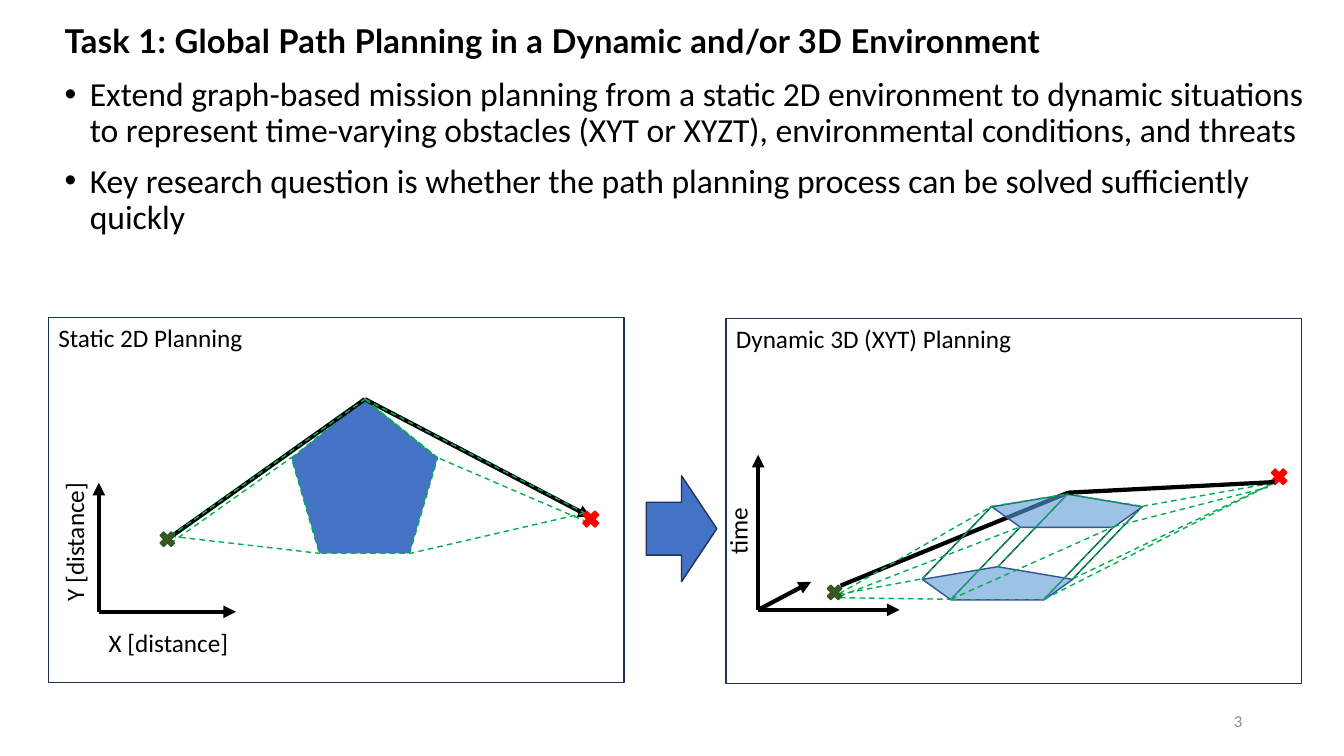
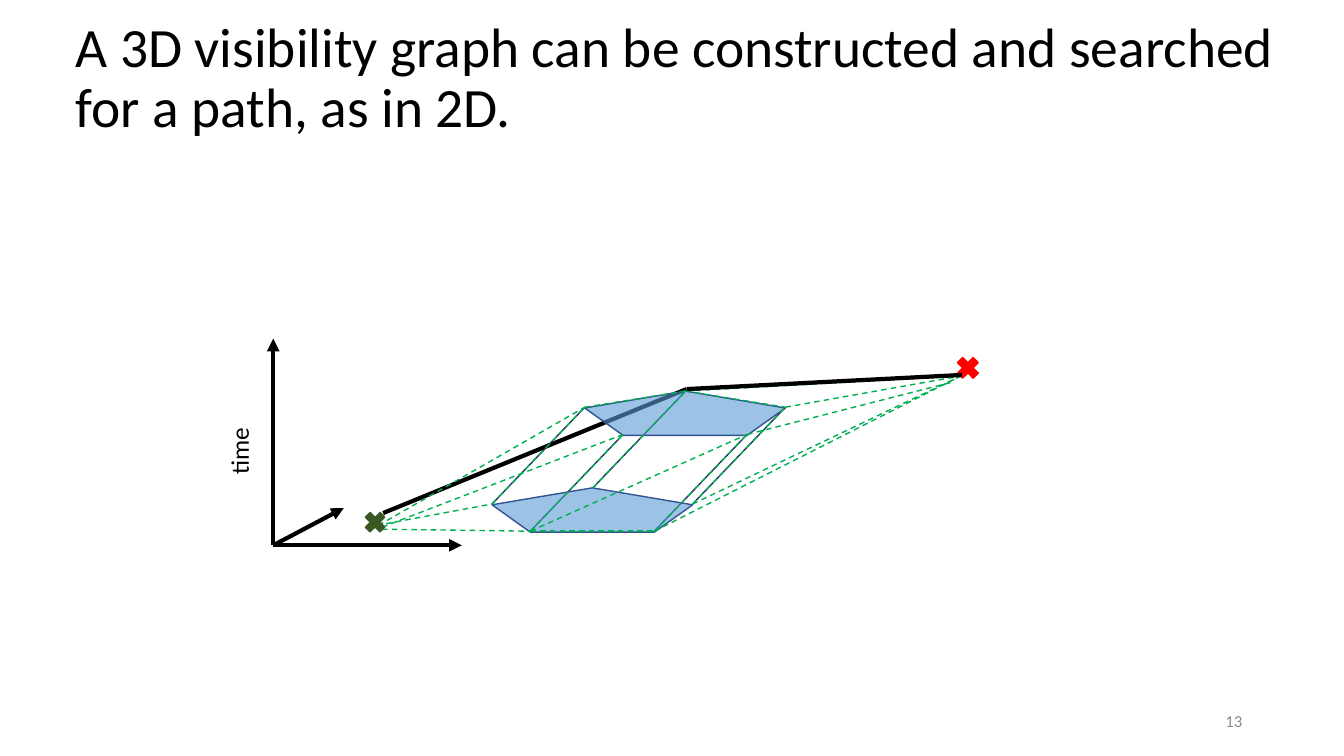
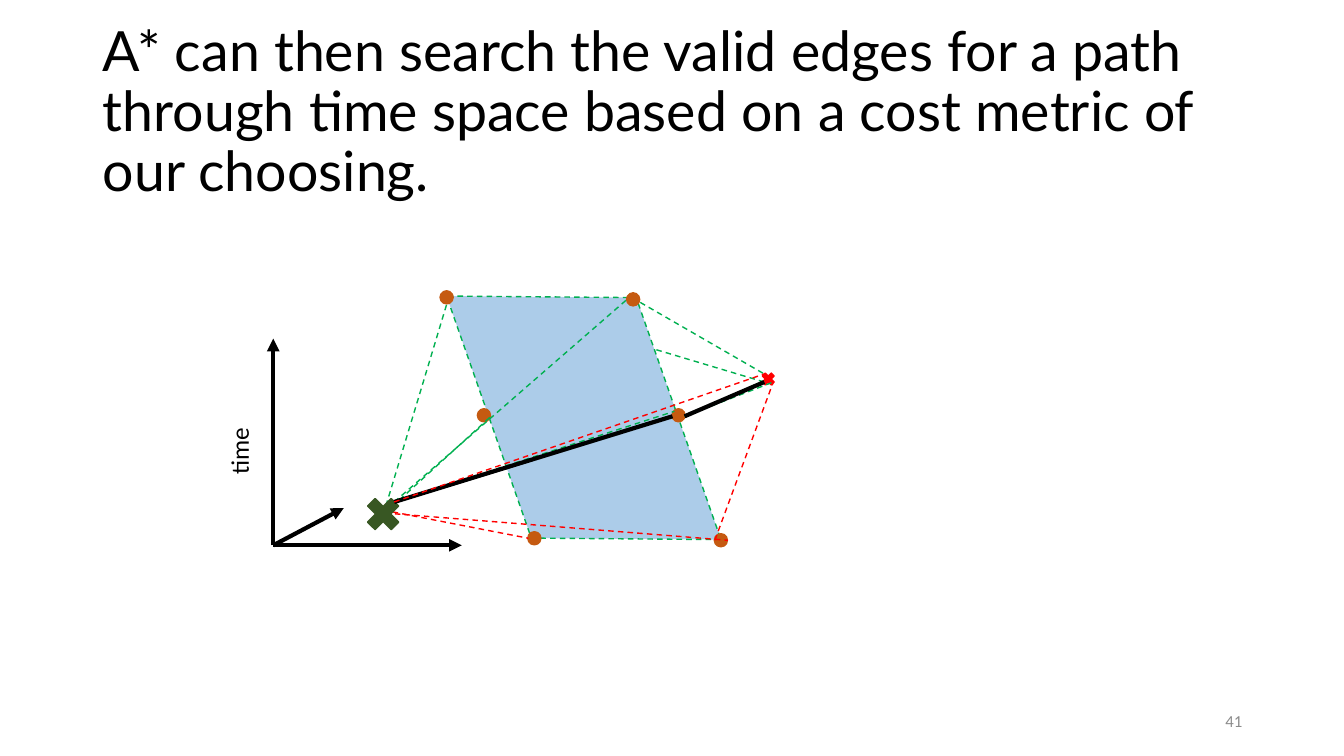
from dataclasses import dataclass
from typing import Any

from lxml import etree
from pptx import Presentation
from pptx.dml.color import RGBColor
from pptx.enum.dml import MSO_LINE
from pptx.enum.shapes import MSO_CONNECTOR, MSO_SHAPE
from pptx.enum.text import MSO_ANCHOR, MSO_AUTO_SIZE, PP_ALIGN
from pptx.oxml.ns import qn
from pptx.util import Inches, Pt

BLACK = RGBColor(0x00, 0x00, 0x00)
GRAY = RGBColor(0x8C, 0x8C, 0x8C)
GREEN = RGBColor(0x00, 0xB0, 0x50)
RED = RGBColor(0xFF, 0x00, 0x00)
MOSS = RGBColor(0x38, 0x57, 0x23)
BLUE = RGBColor(0x44, 0x72, 0xC4)
SKY = RGBColor(0x5B, 0x9B, 0xD5)
STEEL = RGBColor(0x32, 0x54, 0x91)
NAVY = RGBColor(0x20, 0x38, 0x64)
FRAME = RGBColor(0x1E, 0x32, 0x56)
RUST = RGBColor(0xC5, 0x5A, 0x11)

SANS, HEAD = "Calibri", "Lato"
STRAIGHT = MSO_CONNECTOR.STRAIGHT
DASH = MSO_LINE.DASH
CROSS = MSO_SHAPE.MATH_MULTIPLY
PENTAGON = MSO_SHAPE.REGULAR_PENTAGON
DATA = MSO_SHAPE.FLOWCHART_DATA
OVAL = MSO_SHAPE.OVAL
RECT = MSO_SHAPE.RECTANGLE
ARROW = MSO_SHAPE.RIGHT_ARROW
TOP, MIDDLE, BOTTOM = MSO_ANCHOR.TOP, MSO_ANCHOR.MIDDLE, MSO_ANCHOR.BOTTOM
LEFT, RIGHT = PP_ALIGN.LEFT, PP_ALIGN.RIGHT
FIXED, GROW = MSO_AUTO_SIZE.NONE, MSO_AUTO_SIZE.SHAPE_TO_FIT_TEXT

TITLE_BODY, TITLE_ONLY = 1, 5
AXES_AT = (2.71, 5.41)


def style(par, size, color=BLACK, font=SANS, bold=False, align=LEFT):
    par.alignment = align
    for run in par.runs:
        run.font.size = Pt(size)
        run.font.name = font
        run.font.bold = bold
        run.font.color.rgb = color


def move(shape, left, top, width, height):
    shape.left, shape.top = Inches(left), Inches(top)
    shape.width, shape.height = Inches(width), Inches(height)


@dataclass
class Plot:
    """Draws in inches from an origin on the slide, times a scale."""
    slide: Any
    left: float
    top: float
    scale: float = 1

    def spot(self, point):
        x, y = point
        return (Inches(self.left + x * self.scale),
                Inches(self.top + y * self.scale))

    def size(self, *sides):
        return [Inches(side * self.scale) for side in sides]

    def line(self, start, end, color=BLACK, width=3, dash=None, arrow=False):
        line = self.slide.shapes.add_connector(
            STRAIGHT, *self.spot(start), *self.spot(end))
        line.line.color.rgb = color
        line.line.width = Pt(width)
        if dash:
            line.line.dash_style = dash
        props = line._element.spPr
        if arrow:
            etree.SubElement(props.find(qn("a:ln")), qn("a:tailEnd"),
                             type="triangle")
        etree.SubElement(props, qn("a:effectLst"))

    def edges(self, pairs, color=GREEN, dash=DASH):
        for start, end in pairs:
            self.line(start, end, color, 1, dash)

    def axes(self, origin, ends):
        for end in ends:
            self.line(origin, end, arrow=True)

    def shape(self, kind, point, width, height, fill=None, edge=None,
              alpha=None, dash=None):
        shape = self.slide.shapes.add_shape(
            kind, *self.spot(point), *self.size(width, height))
        shape.shadow.inherit = False
        if fill is None:
            shape.fill.background()
        else:
            shape.fill.solid()
            shape.fill.fore_color.rgb = fill
        if alpha:
            color = shape._element.spPr.find(qn("a:solidFill"))[0]
            etree.SubElement(color, qn("a:alpha"), val=str(alpha * 1000))
        shape.line.color.rgb = edge or fill
        shape.line.width = Pt(1)
        if dash:
            shape.line.dash_style = dash
        return shape

    def mark(self, center, side, color, kind=CROSS):
        x, y = center
        self.shape(kind, (x - side / 2, y - side / 2), side, side, color)

    def label(self, text, point, width, height, turn=0):
        box = self.slide.shapes.add_textbox(
            *self.spot(point), *self.size(width, height))
        box.rotation = turn
        frame = box.text_frame
        frame.word_wrap = True
        frame.auto_size = GROW
        frame.text = text
        style(frame.paragraphs[0], 18)


def new_slide(deck, layout, number, title, box, size, font=SANS,
              bold=False, anchor=MIDDLE):
    """Add a slide with its title and page number."""
    slide = deck.slides.add_slide(deck.slide_layouts[layout])
    head = slide.shapes.title
    move(head, *box)
    frame = head.text_frame
    frame.text = title
    frame.auto_size = FIXED
    frame.vertical_anchor = anchor
    par = frame.paragraphs[0]
    par.line_spacing = 0.9
    style(par, size, font=font, bold=bold)

    page = slide.shapes.add_textbox(Inches(9.42), Inches(6.95),
                                    Inches(3), Inches(0.4)).text_frame
    page.word_wrap = True
    page.vertical_anchor = MIDDLE
    page.text = str(number)
    style(page.paragraphs[0], 12, GRAY, align=RIGHT)
    return slide


def bullets(body, box, lines):
    move(body, *box)
    frame = body.text_frame
    frame.text = "\n".join(lines)
    frame.auto_size = FIXED
    frame.vertical_anchor = TOP
    for i, par in enumerate(frame.paragraphs):
        par.line_spacing = 0.9
        par.space_before = Pt(10 if i else 0)
        props = par._p.get_or_add_pPr()
        props.set("marL", str(Inches(0.25)))
        props.set("indent", str(Inches(-0.25)))
        etree.SubElement(props, qn("a:buFont"), typeface="Arial")
        etree.SubElement(props, qn("a:buChar"), char="•")
        style(par, 24)


def panel(slide, left, top, caption):
    """Framed box with a caption; returns the plot inside it."""
    plot = Plot(slide, left, top)
    frame = plot.shape(RECT, (0, 0), 5.71, 3.62, edge=FRAME).text_frame
    frame.vertical_anchor = TOP
    frame.text = caption
    style(frame.paragraphs[0], 18)
    return plot


def flat_graph(plot):
    peak, west, east = (3.14, 0.81), (2.41, 1.39), (3.86, 1.39)
    start, goal = (1.21, 2.17), (5.32, 1.94)
    plot.shape(PENTAGON, (2.41, 0.81), 1.45, 1.53, BLUE, GREEN, dash=DASH)
    plot.line((1.18, 2.2), peak)
    plot.line(peak, (5.38, 1.98), arrow=True)
    plot.edges([(start, peak), (peak, goal), ((1.21, 2.24), west),
                (start, (2.69, 2.34)), (goal, (3.59, 2.34)),
                ((5.44, 2.07), east), (east, peak)])
    plot.mark((5.38, 2), 0.23, RED)
    plot.mark((1.18, 2.2), 0.21, MOSS)
    plot.axes((0.5, 2.92), [(0.5, 1.64), (1.86, 2.92)])
    plot.label("X [distance]", (0.5, 3.02), 2.19, 0.4)
    plot.label("Y [distance]", (-0.8, 1.66), 2.11, 0.4, 270)


def time_axes(plot):
    plot.axes((0, 0), [(0.7, -0.37), (1.87, 0), (0, -2.05)])
    plot.label("time", (-1.05, -1.51), 1.42, 0.4, 270)


def time_graph(plot):
    """Pentagon swept through time, with the edges around it."""
    shift = (0.92, -0.96)
    base = [(2.17, -0.41), (3.17, -0.57), (4.16, -0.41),
            (3.78, -0.14), (2.55, -0.14)]
    lid = [(x + shift[0], y + shift[1]) for x, y in base]
    west, peak, east, right, left = lid
    goal, bend = (6.82, -1.68), (4.1, -1.55)
    risers = list(zip(base, lid))

    plot.line((1.09, -0.32), bend)
    plot.edges(risers, NAVY, None)
    time_axes(plot)
    for dx, dy in ((0, 0), shift):
        plot.shape(PENTAGON, (2.17 + dx, -0.57 + dy), 1.99, 0.44,
                   SKY, STEEL, alpha=60)
    plot.mark((6.89, -1.76), 0.3, RED)
    plot.edges(risers)
    plot.edges([((0.93, -0.18), base[0]), ((1.08, -0.16), base[4]),
                ((1.08, -0.18), left), ((0.96, -0.15), west),
                (west, peak), (peak, east),
                (base[4], base[3]), (base[4], right),
                (right, (6.74, -1.62))])
    plot.edges([(node, goal) for node in (east, peak, base[2], base[3])])
    plot.mark((1.01, -0.23), 0.28, MOSS)
    plot.line(bend, (6.83, -1.69))


def search_graph(plot):
    """Moving wall with valid edges, blocked edges and the path."""
    start, near = (1.2, -0.43), (1.11, -0.32)
    gate, high, low = (4.08, -1.28), (4.87, -1.7), (4.87, -1.62)
    goal = (4.96, -1.62)
    wall = plot.shape(DATA, (1.49, -2.15), 3.18, 1.77, SKY, GREEN,
                      alpha=50, dash=DASH)
    wall.rotation = 250.7
    time_axes(plot)
    plot.mark((4.91, -1.65), 0.17, RED)
    for node in ((3.57, -2.44), (1.72, -2.46), (4.44, -0.05),
                 (2.59, -0.07), (4.02, -1.29), (2.09, -1.29)):
        plot.mark(node, 0.13, RUST, OVAL)
    plot.edges([((1.09, -0.3), (1.72, -2.39)), (near, (2.16, -1.28)),
                (start, (3.51, -2.44)), (start, (3.98, -1.33)),
                ((3.64, -2.41), high), (gate, goal), ((3.8, -1.94), low)])
    plot.edges([((1.09, -0.35), (2.53, -0.07)), (near, (4.51, -0.05)),
                ((4.38, -0.05), goal)], RED)
    plot.mark((1.09, -0.31), 0.45, MOSS)
    plot.line(start, (3.96, -1.28))
    plot.line(gate, low)
    plot.edges([(start, high)], RED)


def task_slide(deck):
    slide = new_slide(
        deck, TITLE_BODY, 3,
        "Task 1: Global Path Planning in a Dynamic and/or 3D Environment",
        (0.54, 0.04, 10.57, 0.61), 23.4, HEAD, True, BOTTOM)
    run = slide.shapes.title.text_frame.paragraphs[0].runs[0]
    run._r.get_or_add_rPr().set("spc", "20")
    bullets(slide.placeholders[1], (0.54, 0.72, 12.79, 2.02), [
        "Extend graph-based mission planning from a static 2D environment "
        "to dynamic situations to represent time-varying obstacles "
        "(XYT or XYZT), environmental conditions, and threats",
        "Key research question is whether the path planning process "
        "can be solved sufficiently quickly"])
    flat_graph(panel(slide, 0.48, 3.15, "Static 2D Planning"))
    cube = panel(slide, 7.2, 3.16, "Dynamic 3D (XYT) Planning")
    Plot(slide, 6.41, 4.72).shape(ARROW, (0, 0), 0.7, 1.05, BLUE, FRAME)
    time_graph(Plot(slide, cube.left + 0.32, cube.top + 2.89, 0.75))


def graph_slide(deck):
    slide = new_slide(
        deck, TITLE_ONLY, 13,
        "A 3D visibility graph can be constructed and searched for a path, "
        "as in 2D.", (0.65, 0.13, 12.44, 1.32), 39.6)
    time_graph(Plot(slide, *AXES_AT))


def search_slide(deck):
    slide = new_slide(
        deck, TITLE_ONLY, 41,
        "A* can then search the valid edges for a path through time space "
        "based on a cost metric of our choosing.",
        (0.92, 0.4, 11.5, 1.45), 39.6, HEAD)
    search_graph(Plot(slide, *AXES_AT))


def main():
    deck = Presentation()
    deck.slide_width, deck.slide_height = Inches(13.33), Inches(7.5)
    task_slide(deck)
    graph_slide(deck)
    search_slide(deck)
    deck.save("out.pptx")


if __name__ == "__main__":
    main()
